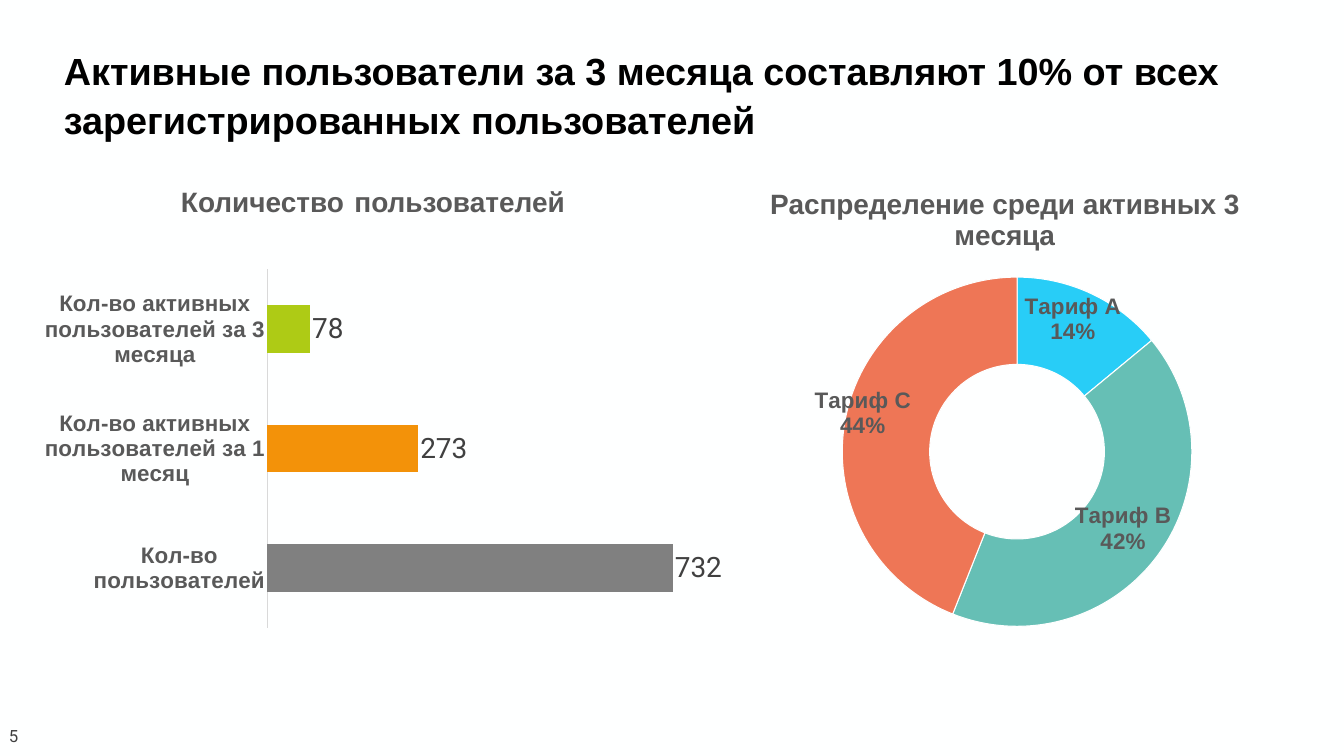
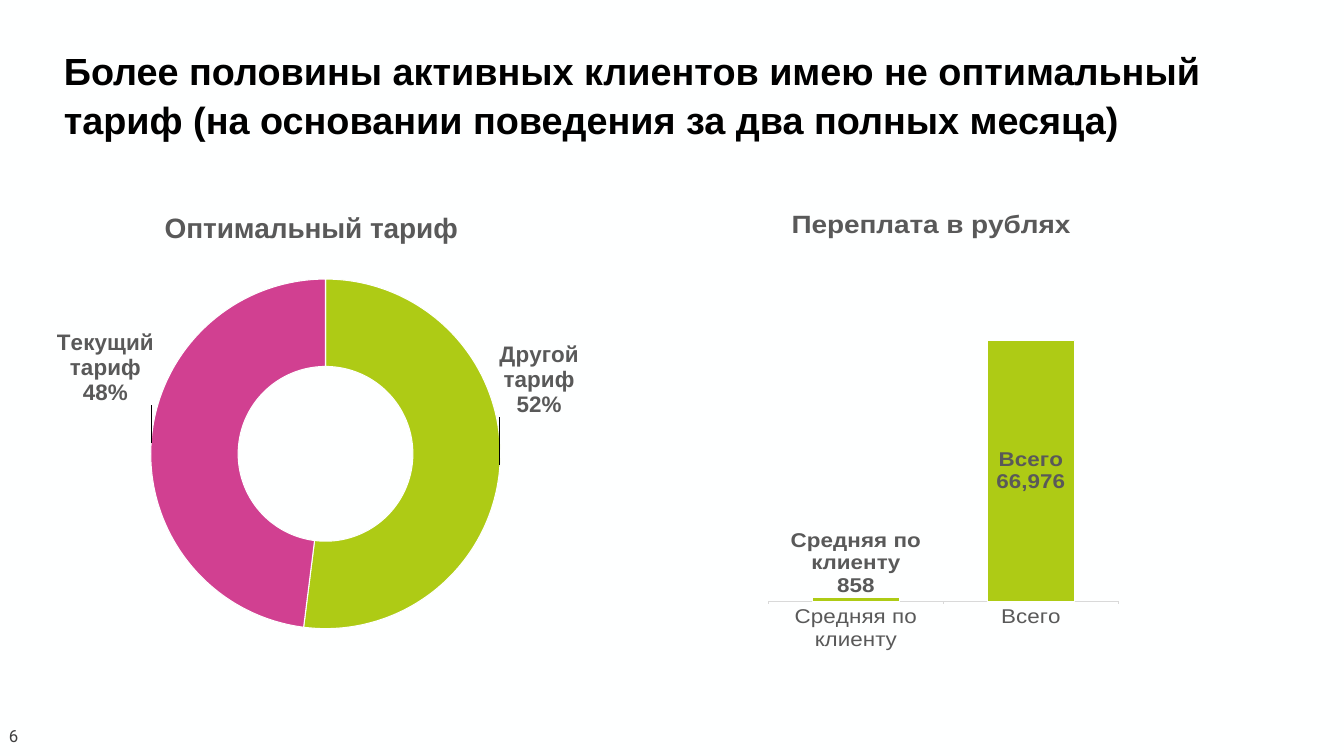
import pptx
import pptx.chart.data
import pptx.dml.color
import pptx.enum.chart
import pptx.enum.text
import pptx.oxml
import pptx.util
from pptx.util import Cm

COLORS = {
    "background": "FEFFFF",
    "title": "000000",
    "text": "595959",
    "number": "3F3F3F",
    "value": "404040",
    "axis": "D9D9D9",
    "gray": "808080",
    "orange": "F39209",
    "green": "AECB15",
    "blue": "28CDF7",
    "teal": "66BFB5",
    "coral": "EE7656",
    "pink": "D14091",
}
CHART_NAMESPACE = "http://schemas.openxmlformats.org/drawingml/2006/chart"
CHART_TYPES = pptx.enum.chart.XL_CHART_TYPE
TICK_MARKS = pptx.enum.chart.XL_TICK_MARK


def format_font(font, size, color, bold=False, name="Arial"):
    font.name = name
    font.size = pptx.util.Pt(size)
    font.bold = bold
    font.color.rgb = pptx.dml.color.RGBColor.from_string(COLORS[color])


def make_layout(settings):
    children = "".join(f'<c:{tag} val="{value}"/>' for tag, value in settings.items())
    return pptx.oxml.parse_xml(
        f'<c:layout xmlns:c="{CHART_NAMESPACE}"><c:manualLayout>{children}'
        "</c:manualLayout></c:layout>"
    )


presentation = pptx.Presentation()
presentation.slide_width = Cm(67.74)
presentation.slide_height = Cm(38.1)
background = presentation.slide_master.background.fill
background.solid()
background.fore_color.rgb = pptx.dml.color.RGBColor.from_string(COLORS["background"])

CHART_SIZE = (32.13, 23.06)
users_chart = {
    "type": CHART_TYPES.BAR_CLUSTERED,
    "at": (2.26, 11.43, 38.53, 22.4),
    "plot": (0.29, 0.096, 0.581, 0.806),
    "title": None,
    "series": "Количество пользователей",
    "points": [
        ("Кол-во пользователей", 732, "gray", None),
        ("Кол-во активных пользователей за 1 месяц", 273, "orange", None),
        ("Кол-во активных пользователей за 3 месяца", 78, "green", None),
    ],
    "gap": 150,
    "tick": TICK_MARKS.NONE,
}
tariff_chart = {
    "type": CHART_TYPES.DOUGHNUT,
    "at": (34.57, 8.53, *CHART_SIZE),
    "plot": (0.245, 0.236, 0.549, 0.764),
    "title": "Распределение среди активных 3 месяца",
    "series": "Тарифы",
    "points": [
        ("Тариф A", 14, "blue", (0, -0.03)),
        ("Тариф B", 42, "teal", None),
        ("Тариф C", 44, "coral", (-0.04, -0.03)),
    ],
}
overpayment_chart = {
    "type": CHART_TYPES.COLUMN_STACKED,
    "at": (30.86, 9.73, *CHART_SIZE),
    "plot": (0.245, 0.236, 0.549, 0.764),
    "title": "Переплата в рублях",
    "series": "Переплата",
    "points": [
        ("Средняя по клиенту", 858, "green", (0, -0.09)),
        ("Всего", 66976, "green", None),
    ],
    "gap": 100,
    "tick": TICK_MARKS.OUTSIDE,
}
optimal_chart = {
    "type": CHART_TYPES.DOUGHNUT,
    "at": (-0.38, 9.73, *CHART_SIZE),
    "plot": (0.248, 0.188, 0.549, 0.764),
    "title": "Оптимальный тариф",
    "series": "Клиенты",
    "points": [
        ("Другой тариф", 52, "green", (0.13, -0.18)),
        ("Текущий тариф", 48, "pink", (-0.14, -0.17)),
    ],
}

slides = [
    {
        "number": "5",
        "title": "Активные пользователи за 3 месяца составляют 10% от всех зарегистрированных пользователей",
        "charts": [users_chart, tariff_chart],
        "heading": ["Количество", " ", "пользователей"],
    },
    {
        "number": "6",
        "title": "Более половины активных клиентов имею не оптимальный тариф (на основании поведения за два полных месяца)",
        "charts": [overpayment_chart, optimal_chart],
        "heading": None,
    },
]

for content in slides:
    slide = presentation.slides.add_slide(presentation.slide_layouts[6])

    for chart_content in content["charts"]:
        points = chart_content["points"]
        is_bar = chart_content["type"] == CHART_TYPES.BAR_CLUSTERED
        is_doughnut = chart_content["type"] == CHART_TYPES.DOUGHNUT
        chart_data = pptx.chart.data.CategoryChartData(number_format="#,##0")
        chart_data.categories = [point[0] for point in points]
        chart_data.add_series(chart_content["series"], [point[1] for point in points])
        position = [Cm(length) for length in chart_content["at"]]
        chart = slide.shapes.add_chart(chart_content["type"], *position, chart_data).chart
        format_font(chart.font, 10, "title")
        chart.has_legend = False
        chart.has_title = chart_content["title"] is not None
        if chart.has_title:
            title_frame = chart.chart_title.text_frame
            title_frame.text = chart_content["title"]
            format_font(title_frame.paragraphs[0].runs[0].font, 40, "text", bold=True)
            chart.chart_title.include_in_layout = False

        plot_area = chart.element.xpath("c:chart/c:plotArea")[0]
        for old_layout in plot_area.xpath("c:layout"):
            plot_area.remove(old_layout)
        settings = {"layoutTarget": "inner", "xMode": "edge", "yMode": "edge"}
        settings.update(zip("xywh", chart_content["plot"]))
        plot_area.insert(0, make_layout(settings))

        plot = chart.plots[0]
        plot.vary_by_categories = is_doughnut
        if is_doughnut:
            plot_area.xpath(".//c:holeSize")[0].set("val", "48")
        else:
            plot.gap_width = chart_content["gap"]
            chart.value_axis.visible = False
            chart.value_axis.has_major_gridlines = False
            axis = chart.category_axis
            axis.major_tick_mark = chart_content["tick"]
            axis.minor_tick_mark = TICK_MARKS.NONE
            axis.format.line.width = pptx.util.Pt(0.75)
            axis.format.line.color.rgb = pptx.dml.color.RGBColor.from_string(COLORS["axis"])
            format_font(axis.tick_labels.font, 32, "text", bold=is_bar)

        series = plot.series[0]
        labels = series.data_labels
        labels.number_format = "0%" if is_doughnut else "#,##0"
        labels.number_format_is_linked = False
        labels.show_value = not is_doughnut
        labels.show_percentage = is_doughnut
        labels.show_category_name = not is_bar
        if is_bar:
            format_font(labels.font, 40, "value", name="Roboto")
            labels.position = pptx.enum.chart.XL_LABEL_POSITION.OUTSIDE_END
        else:
            format_font(labels.font, 32, "text", bold=True)

        for index, (category, value, color, offset) in enumerate(points):
            point = series.points[index]
            point.format.fill.solid()
            point.format.fill.fore_color.rgb = pptx.dml.color.RGBColor.from_string(COLORS[color])
            if not is_bar:
                line = point.format.line
                line.width = pptx.util.Pt(1.5)
                line.color.rgb = pptx.dml.color.RGBColor.from_string(COLORS["background"])
            if offset:
                format_font(point.data_label.font, 32, "text", bold=True)
                label = series.data_labels._element.xpath(f"c:dLbl[c:idx/@val='{index}']")[0]
                for position_tag in label.xpath("c:dLblPos"):
                    label.remove(position_tag)
                label.xpath("c:idx")[0].addnext(make_layout(dict(zip("xy", offset))))
                label.xpath("c:showVal")[0].set("val", str(int(not is_doughnut)))
                label.xpath("c:showPercent")[0].set("val", str(int(is_doughnut)))
                label.xpath("c:showCatName")[0].set("val", "1")

        if not is_bar:
            for last_flag in labels._element.xpath(".//c:showBubbleSize"):
                last_flag.addnext(pptx.oxml.parse_xml(
                    f'<c:separator xmlns:c="{CHART_NAMESPACE}">\n</c:separator>'
                ))

    texts = [
        ((0.2, 36.17, 2.51, 1.78), [content["number"]], 24, "number", False, "Roboto"),
        ((2.97, 2.13, 61.82, 6.6), [content["title"]], 54, "title", True, "Arial"),
    ]
    if content["heading"]:
        texts.append(((3.02, 8.53, 31.55, 3.94), content["heading"], 40, "text", True, "Arial"))
    for place, parts, size, color, bold, font_name in texts:
        shape = slide.shapes.add_textbox(*[Cm(length) for length in place])
        text_frame = shape.text_frame
        text_frame.word_wrap = True
        paragraph = text_frame.paragraphs[0]
        if bold:
            paragraph.line_spacing = 1.07
        else:
            text_frame.vertical_anchor = pptx.enum.text.MSO_ANCHOR.MIDDLE
        if len(parts) > 1:
            paragraph.alignment = pptx.enum.text.PP_ALIGN.CENTER
        for part in parts:
            run = paragraph.add_run()
            run.text = part
            format_font(run.font, 54 if part == " " else size, color, bold, font_name)

presentation.save("out.pptx")
